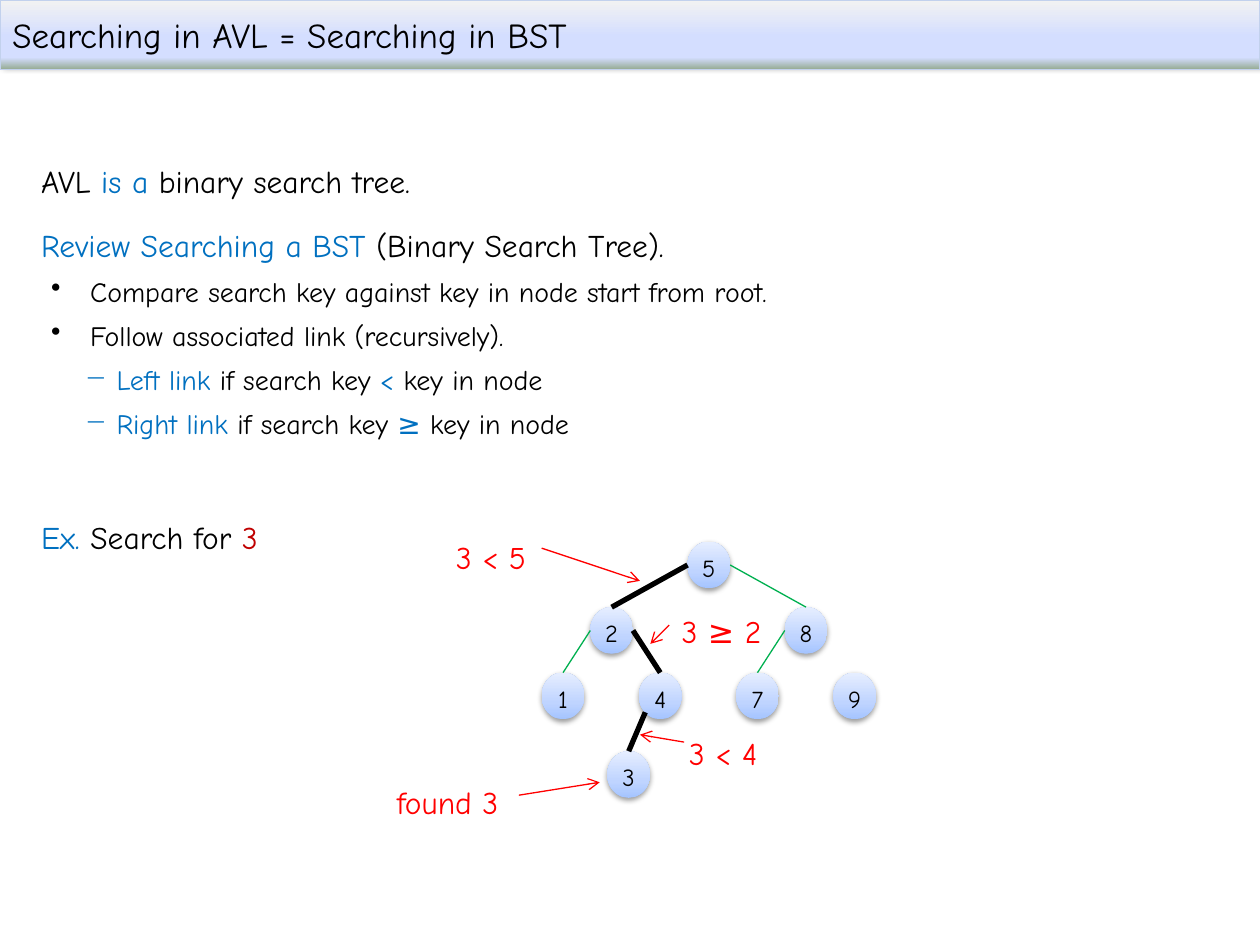
from lxml.etree import SubElement
from pptx import Presentation
from pptx.dml.color import RGBColor
from pptx.enum.shapes import MSO_CONNECTOR, MSO_SHAPE
from pptx.enum.text import MSO_ANCHOR, MSO_AUTO_SIZE, PP_ALIGN
from pptx.oxml.ns import qn
from pptx.util import Cm, Pt

HUES = {"black": "000000", "blue": "0070C0", "red": "FF0000", "dark": "C00000",
        "green": "00B050", "edge": "C2D1ED"}
FONT = "Comic Neue"
TITLE = "Searching in AVL = Searching in BST"
BAR = [(0, "F2F2F2"), (53, "D4DEFF"), (83, "D4DEFF"), (100, "96AB94")]
BALL = [(0, "A4C4FF"), (35, "BFD4FF"), (100, "E6EEFF")]

BODY = [
    ("head", [("AVL ", "black"), ("is a ", "blue"), ("binary search tree.", "black")]),
    ("head", [("Review Searching a BST", "blue"), (" (Binary Search Tree).", "black")]),
    ("item", [("Compare search key against key in node start from root.", "black")]),
    ("item", [("Follow associated link (recursively).", "black")]),
    ("sub", [("Left link ", "blue"), ("if search key", "black"),
             (" < ", "blue"), ("key in node", "black")]),
    ("sub", [("Right link ", "blue"), ("if search key", "black"),
             (" ≥ ", "blue"), ("key in node", "black")]),
]
TASK = [("head", [("Ex. ", "blue"), ("Search for ", "black"), ("3", "dark")])]
STYLES = {
    "head": dict(level=0, size=18, gap=4, lead=1.5, left=0.97, hang=0.97, mark=None),
    "item": dict(level=1, size=16, gap=6, lead=1, left=0.99, hang=0.79, mark="•"),
    "sub": dict(level=2, size=16, gap=6, lead=1, left=1.52, hang=0.64, mark="−"),
}

NOTES = [
    ("found 3", (7.75, 15.67, 2.97), (10.46, 16.03, 12.09, 15.77)),
    ("3 < 5", (8.94, 10.72, 2.54), (10.92, 11.05, 12.9, 11.71)),
    ("3 ≥ 2", (13.49, 12.22, 2.18), (13.49, 12.6, 13.11, 12.98)),
    ("3 < 4", (13.64, 14.68, 2.64), (13.79, 14.96, 12.9, 14.81)),
]

NODES = {3: (1.35, 3.2), 1: (0, 2), 4: (2, 2), 7: (4, 2), 9: (6, 2),
         2: (1, 1), 8: (5, 1), 5: (3, 0)}
LEFT, RIGHT, LOW = (0, 0.5), (1, 0.5), (0.15, 0.85)
EDGES = [(5, 2, LEFT, True), (5, 8, RIGHT, False), (2, 1, LEFT, False),
         (2, 4, RIGHT, True), (8, 7, LEFT, False), (4, 3, LOW, True)]
START, STEP, ROW = 10.92, 0.98, 1.32
WIDE, HIGH = 0.86, 0.94


def hue(name):
    return RGBColor.from_string(HUES[name])


def shade(shape, stops, angle, blur, dist, turn, alpha):
    shape.fill.gradient()
    shape.fill.gradient_angle = angle
    props = shape._element.spPr
    ramp = props.find(qn("a:gradFill")).find(qn("a:gsLst"))
    for old in list(ramp):
        ramp.remove(old)
    for pos, color in stops:
        stop = SubElement(ramp, qn("a:gs"), pos=str(pos * 1000))
        SubElement(stop, qn("a:srgbClr"), val=color)
    shape.shadow.inherit = False
    glow = SubElement(props.find(qn("a:effectLst")), qn("a:outerShdw"),
                      blurRad=str(Pt(blur)), dist=str(Pt(dist)),
                      dir=str(turn * 60000), rotWithShape="0")
    ink = SubElement(glow, qn("a:srgbClr"), val=HUES["black"])
    SubElement(ink, qn("a:alpha"), val=str(alpha * 1000))


def style(para, size, color=None):
    para.font.name = FONT
    para.font.size = Pt(size)
    if color:
        para.font.color.rgb = hue(color)


def box(slide, x, y, w, h):
    shape = slide.shapes.add_textbox(Cm(x), Cm(y), Cm(w), Cm(h))
    shape.text_frame.word_wrap = True
    return shape.text_frame


def write(frame, rows):
    for i, (kind, runs) in enumerate(rows):
        look = STYLES[kind]
        para = frame.add_paragraph() if i else frame.paragraphs[0]
        para.level = look["level"]
        props = para._p.get_or_add_pPr()
        props.set("marL", str(Cm(look["left"])))
        props.set("indent", str(-Cm(look["hang"])))
        if look["mark"]:
            tint = SubElement(props, qn("a:buClr"))
            SubElement(tint, qn("a:srgbClr"), val=HUES[runs[0][1]])
            SubElement(props, qn("a:buChar"), char=look["mark"])
        para.line_spacing = look["lead"]
        para.space_before = Pt(look["gap"] if i else 0)
        style(para, look["size"])
        for text, color in runs:
            run = para.add_run()
            run.text = text
            run.font.color.rgb = hue(color)


def link(slide, ends, color, width, arrow=False):
    line = slide.shapes.add_connector(MSO_CONNECTOR.STRAIGHT, *map(Cm, ends))
    line.line.color.rgb = hue(color)
    line.line.width = Pt(width)
    if arrow:
        SubElement(line.line._get_or_add_ln(), qn("a:tailEnd"), type="arrow")
    SubElement(line._element.spPr, qn("a:effectLst"))


def spot(key):
    col, row = NODES[key]
    return START + col * STEP, START + row * ROW


def main():
    deck = Presentation()
    deck.slide_width, deck.slide_height = Cm(25.4), Cm(19.05)
    slide = deck.slides.add_slide(deck.slide_layouts[6])

    bar = slide.shapes.add_shape(MSO_SHAPE.RECTANGLE, 0, 0, Cm(25.4), Cm(1.4))
    bar.line.color.rgb = hue("edge")
    bar.line.width = Pt(0.75)
    shade(bar, BAR, 270, 4, 3, 315, 40)
    bar.text_frame.vertical_anchor = MSO_ANCHOR.MIDDLE
    para = bar.text_frame.paragraphs[0]
    para.text = TITLE
    para.alignment = PP_ALIGN.LEFT
    style(para, 20, "black")

    write(box(slide, 0.58, 2.77, 24.2, 15.29), BODY)
    write(box(slide, 0.58, 9.93, 24.2, 8.13), TASK)

    for text, place, ends in NOTES:
        frame = box(slide, *place, 1.02)
        frame.auto_size = MSO_AUTO_SIZE.SHAPE_TO_FIT_TEXT
        frame.paragraphs[0].text = text
        style(frame.paragraphs[0], 18, "red")
        link(slide, ends, "red", 0.75, True)

    for key in NODES:
        x, y = spot(key)
        ball = slide.shapes.add_shape(MSO_SHAPE.OVAL, Cm(x), Cm(y), Cm(WIDE), Cm(HIGH))
        ball.line.fill.background()
        shade(ball, BALL, 90, 3.1, 1.6, 90, 38)
        frame = ball.text_frame
        frame.margin_left = frame.margin_right = frame.margin_bottom = 0
        frame.margin_top = Cm(0.1)
        frame.vertical_anchor = MSO_ANCHOR.MIDDLE
        para = frame.paragraphs[0]
        para.text = str(key)
        para.alignment = PP_ALIGN.CENTER
        style(para, 14, "black")

    for top, kid, (across, down), bold in EDGES:
        x, y = spot(top)
        kx, ky = spot(kid)
        ends = (kx + WIDE / 2, ky, x + across * WIDE, y + down * HIGH)
        link(slide, ends, "black" if bold else "green", 3 if bold else 0.75)

    deck.save("out.pptx")


if __name__ == "__main__":
    main()
